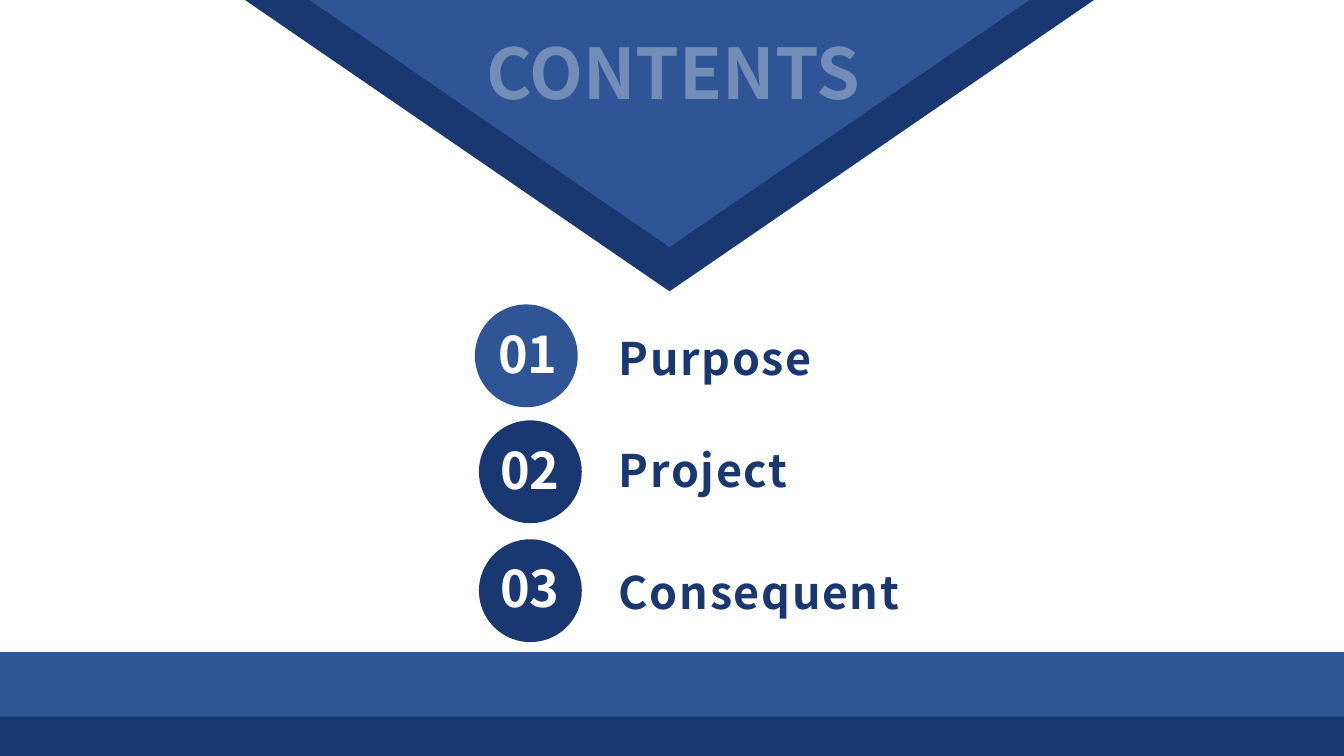
import pptx
import pptx.dml.color
import pptx.enum.shapes
import pptx.enum.text
import pptx.oxml
import pptx.oxml.ns
import pptx.util
from pptx.util import Inches

COLORS = {"navy": "193871", "blue": "2F5597", "white": "FFFFFF"}
FONT = "Noto Sans CJK SC"
SHAPES = pptx.enum.shapes.MSO_SHAPE
ALIGN = pptx.enum.text.PP_ALIGN

presentation = pptx.Presentation()
presentation.slide_width = Inches(13.33)
presentation.slide_height = Inches(7.5)
slide = presentation.slides.add_slide(presentation.slide_layouts[6])


def add_filled(kind, left, top, width, height, color):
    shape = slide.shapes.add_shape(
        kind, Inches(left), Inches(top), Inches(width), Inches(height))
    shape.shadow.inherit = False
    shape.fill.solid()
    shape.fill.fore_color.rgb = pptx.dml.color.RGBColor.from_string(COLORS[color])
    shape.line.fill.background()
    return shape


def add_label(text, left, top, width, height, size, color, align, wrap=True):
    """Add a one-line bold text box and return its run."""
    box = slide.shapes.add_textbox(
        Inches(left), Inches(top), Inches(width), Inches(height))
    box.text_frame.word_wrap = wrap
    box.text_frame.auto_size = pptx.enum.text.MSO_AUTO_SIZE.SHAPE_TO_FIT_TEXT
    paragraph = box.text_frame.paragraphs[0]
    paragraph.alignment = align
    run = paragraph.add_run()
    run.text = text
    font_format = {"name": FONT, "size": pptx.util.Pt(size), "bold": True}
    for attribute, value in font_format.items():
        setattr(run.font, attribute, value)
    run.font.color.rgb = pptx.dml.color.RGBColor.from_string(COLORS[color])
    return run


# Header: two nested triangles pointing down
for left, width, height, color in [(2.43, 8.42, 2.89, "navy"),
                                   (3.07, 7.14, 2.45, "blue")]:
    triangle = add_filled(SHAPES.ISOSCELES_TRIANGLE, left, 0, width, height, color)
    triangle.rotation = 180

title = add_label("CONTENTS", 4.7, 0.24, 3.96, 0.94, 50, "white", ALIGN.CENTER, wrap=False)
title_color = title.font.fill._xPr.find(".//" + pptx.oxml.ns.qn("a:srgbClr"))
title_color.append(pptx.oxml.parse_xml(
    f'<a:alpha {pptx.oxml.ns.nsdecls("a")} val="32000"/>'))

# Agenda: topic, topic top, circle left, circle top, circle color, number left, number top
agenda = [
    ("Purpose", 3.23, 4.71, 3.02, "blue", 4.71, 3.16),
    ("Project", 4.34, 4.75, 4.17, "navy", 4.73, 4.31),
    ("Consequent", 5.55, 4.75, 5.35, "navy", 4.73, 5.48),
]
for number, row in enumerate(agenda, start=1):
    topic, topic_top, circle_left, circle_top, color, number_left, number_top = row
    topic_run = add_label(topic, 6.04, topic_top, 3.06, 0.64, 32, "navy", ALIGN.LEFT)
    topic_run.font._rPr.set("spc", "120")
    add_filled(SHAPES.OVAL, circle_left, circle_top, 1.02, 1.02, color)
    add_label(f"{number:02d}", number_left, number_top, 1.05, 0.71, 36, "white", ALIGN.CENTER)

# Footer bands
for top, height, color in [(7.04, 0.46, "navy"), (6.47, 0.64, "blue")]:
    add_filled(SHAPES.RECTANGLE, 0, top, 13.35, height, color)

presentation.save("out.pptx")
